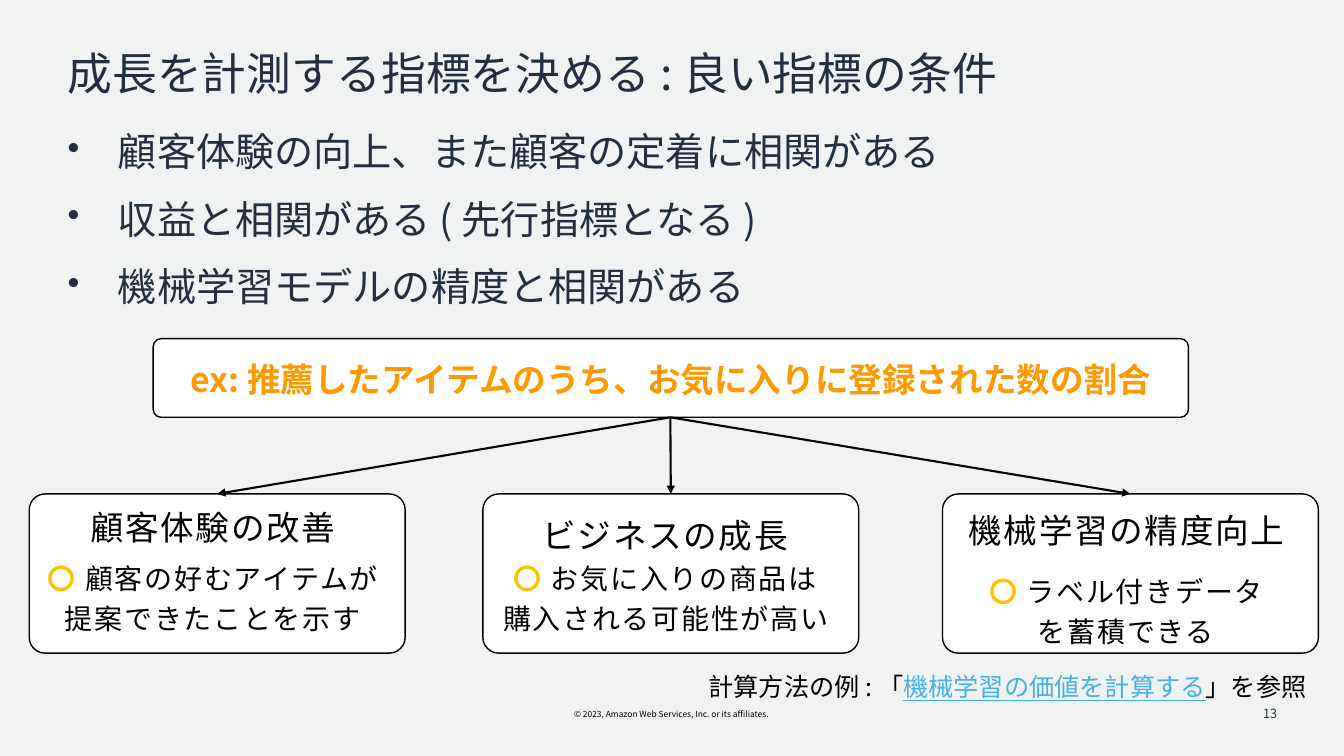
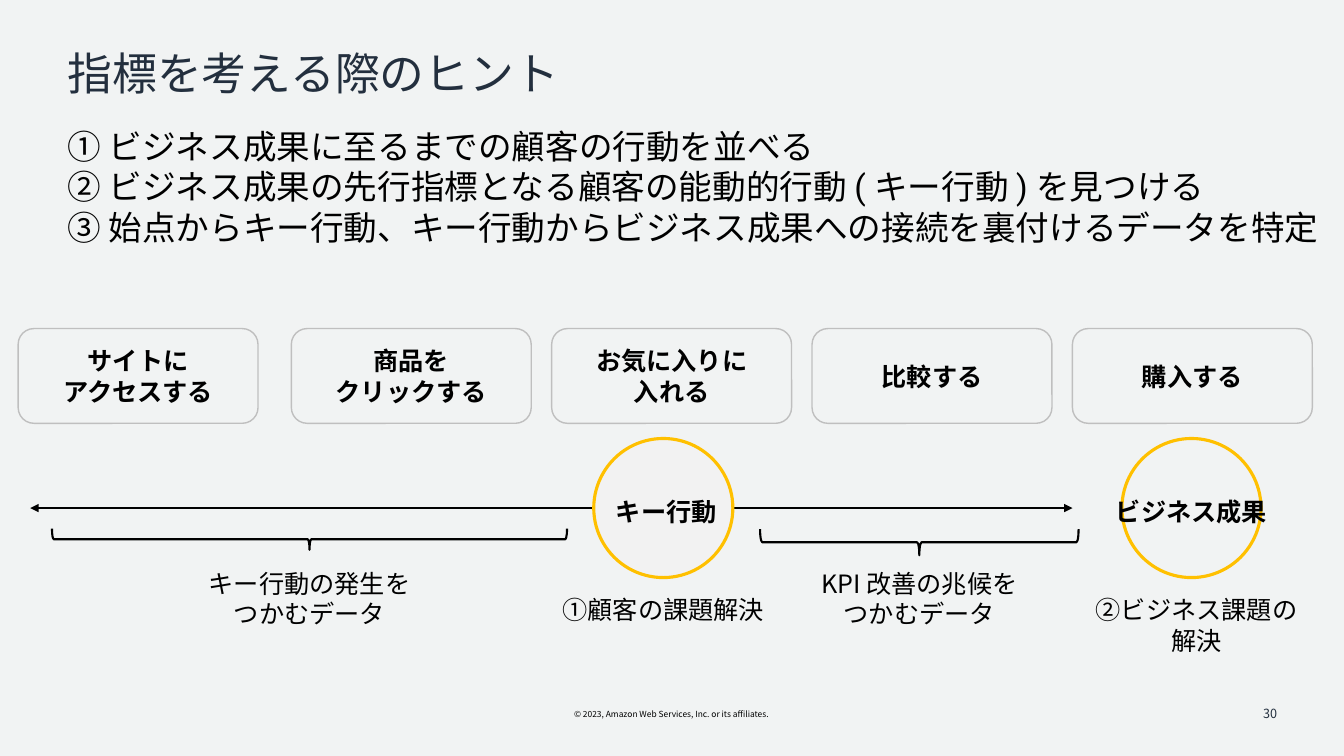
"""Build two slides on choosing and finding growth metrics."""
from lxml import etree
from pptx import Presentation
from pptx import util as u
from pptx.dml.color import RGBColor
from pptx.enum import shapes, text
from pptx.oxml import ns

CELL = u.Inches(0.1)
WIDE, HIGH = 133.33, 75
EDGE = 6.7
FONT = "Noto Sans CJK JP"
ALT = "Roboto"

PAPER = RGBColor(0xF1, 0xF3, 0xF3)
NAVY = RGBColor(0x23, 0x2F, 0x3E)
BLACK = RGBColor(0, 0, 0)
WHITE = RGBColor(0xFF, 0xFF, 0xFF)
PALE = RGBColor(0xF2, 0xF2, 0xF2)
GREY = RGBColor(0xBF, 0xBF, 0xBF)
ORANGE = RGBColor(0xFF, 0x99, 0x00)
GOLD = RGBColor(0xFF, 0xC0, 0x00)
SKY = RGBColor(0x41, 0xB1, 0xE8)

LEFT, MID, RIGHT = (text.PP_ALIGN.LEFT, text.PP_ALIGN.CENTER,
                    text.PP_ALIGN.RIGHT)
KIND = shapes.MSO_SHAPE
RING = {"color": GOLD, "bold": True}


def grid(*cells):
    """Turn grid cells into lengths."""
    return [round(c * CELL) for c in cells]


def node(host, tag, **attrs):
    """Append a drawing element to its host."""
    return etree.SubElement(host, ns.qn("a:" + tag), attrs)


def style(font, color=None, bold=None, line=None, face=None):
    """Apply the given font traits."""
    if color is not None:
        font.color.rgb = color
    if bold is not None:
        font.bold = bold
    if line is not None:
        font.underline = line
    if face is not None:
        font.name = face


def write(slide, box, lines, size, color=BLACK, bold=False, align=MID,
          lead=None, after=None, track=None, dot=False):
    """Add a text box; a line is a string or a list of (text, traits)."""
    frame = slide.shapes.add_textbox(*grid(*box)).text_frame
    frame.word_wrap = True
    frame.margin_left = frame.margin_right = 0
    for i, line in enumerate(lines):
        para = frame.paragraphs[0] if i == 0 else frame.add_paragraph()
        for part, traits in [(line, {})] if isinstance(line, str) else line:
            run = para.add_run()
            run.text = part
            style(run.font, **traits)
        para.alignment = align
        if lead:
            para.line_spacing = lead
        if after:
            para.space_after = u.Pt(after)
        props = para._p.get_or_add_pPr()
        if dot:
            props.set("marL", str(5 * CELL))
            props.set("indent", str(-5 * CELL))
            node(props, "buSzPct", val="90000")
            node(props, "buChar", char="•")
        para.font.size = u.Pt(size)
        style(para.font, color, bold, face=FONT)
        base = props.find(ns.qn("a:defRPr"))
        node(base, "ea", typeface=FONT)
        if track:
            base.set("spc", str(track))
    return frame


def shape(slide, kind, box, line, width, fill=None, adj=None):
    """Add an outlined preset shape."""
    item = slide.shapes.add_shape(kind, *grid(*box))
    item.shadow.inherit = False
    item.line.color.rgb = line
    item.line.width = u.Pt(width)
    if fill is None:
        item.fill.background()
    else:
        item.fill.solid()
        item.fill.fore_color.rgb = fill
    if adj is not None:
        item.adjustments[0] = adj
    return item


def brace(slide, x, y, span, depth):
    """Add a brace that opens upward around a centre."""
    box = (x - depth / 2, y - span / 2, depth, span)
    shape(slide, KIND.RIGHT_BRACE, box, BLACK, 1.5).rotation = 90


def arrow(slide, start, end, both=False):
    """Add an arrow between two grid points."""
    item = slide.shapes.add_connector(
        shapes.MSO_CONNECTOR.STRAIGHT, *grid(*start, *end))
    item.line.color.rgb = BLACK
    item.line.width = u.Pt(1.5)
    props = item._element.spPr
    if both:
        node(props.ln, "headEnd", type="triangle")
    node(props.ln, "tailEnd", type="triangle")
    node(props, "effectLst")


def page(deck, title, num):
    """Add a slide with its title, footer and number."""
    slide = deck.slides.add_slide(deck.slide_layouts[6])
    write(slide, (54.9, 69.9, 23.4, 2),
          ["© 2023, Amazon Web Services, Inc. or its affiliates."], 6)
    write(slide, (EDGE, 4.6, 119.8, 6), [title], 32, NAVY,
          align=LEFT, lead=0.9)
    foot = write(slide, (97.7, 68.8, 29, 4), [str(num)], 9, NAVY, align=RIGHT)
    foot.vertical_anchor = text.MSO_ANCHOR.MIDDLE
    return slide


def rules(deck):
    """Build the slide on what makes a good metric."""
    slide = page(deck, "成長を計測する指標を決める : 良い指標の条件", 13)
    write(slide, (EDGE, 12.7, 120, 18.9),
          ["顧客体験の向上、また顧客の定着に相関がある",
           "収益と相関がある ( 先行指標となる )",
           "機械学習モデルの精度と相関がある"],
          28, NAVY, align=LEFT, lead=0.9, after=18, dot=True)
    shape(slide, KIND.ROUNDED_RECTANGLE, (15.2, 33.6, 102.7, 7.8),
          BLACK, 1, WHITE, 0.1)
    write(slide, (5.4, 35.1, 122.3, 5),
          ["ex: 推薦したアイテムのうち、お気に入りに登録された数の割合"],
          24, ORANGE, True)
    top, wide = 49, 37.3
    cards = [
        (2.9, "顧客体験の改善", (7.4, 49, 27.4), (3.7, 54.5, 34.8),
         [[("〇", RING), (" 顧客の好むアイテムが", {})],
          "提案できたことを示す"]),
        (47.9, "ビジネスの成長", (51.5, 49.8, 29), (49.5, 54.5, 33.1),
         [[("〇 ", RING),
           ("お気に入りの商品は購入される可能性が高い", {})]]),
        (93.5, "機械学習の精度向上", (94.8, 49.3, 33.9), (91.8, 55.8, 39.8),
         [[("〇 ", RING), ("ラベル付きデータ", {})], "を蓄積できる"]),
    ]
    for x, head, name, note, lines in cards:
        shape(slide, KIND.ROUNDED_RECTANGLE, (x, top, wide, 15.8),
              BLACK, 1, WHITE, 0.1)
        write(slide, (*name, 5.3), [head], 24, lead=1.2, track=120)
        write(slide, (*note, 8.5), lines, 20, lead=1.2, track=120)
        arrow(slide, (66.5, 41.4), (x + wide / 2, top))
    write(slide, (64.2, 66.1, 65.4, 4),
          [[("計算方法の例 : 「", {}),
            ("機械学習の価値を計算する", {"color": SKY, "line": True}),
            ("」を参照", {})]], 18, align=RIGHT)


def hints(deck):
    """Build the slide on the path from action to outcome."""
    slide = page(deck, "指標を考える際のヒント", 30)
    write(slide, (EDGE, 12, 124.9, 13.1),
          ["① ビジネス成果に至るまでの顧客の行動を並べる",
           [("② ビジネス成果の先行指標となる顧客の能動的行動 ", {}),
            ("( ", {"face": ALT}), ("キー行動", {}),
            (" ) ", {"face": ALT}), ("を見つける", {})],
           "③ 始点からキー行動、キー行動からビジネス成果への接続を"
           "裏付けるデータを特定"], 24, align=LEFT)
    steps = [["サイトに", "アクセスする"], ["商品を", "クリックする"],
             ["お気に入りに", "入れる"], ["比較する"], ["購入する"]]
    for i, lines in enumerate(steps):
        x = 28.9 + 25.83 * (i - 1) if i else 1.8
        high = 1 + 3.05 * len(lines)
        shape(slide, KIND.ROUNDED_RECTANGLE, (x, 32.6, 23.8, 9.4), GREY, 1)
        write(slide, (x, 37.35 - high / 2, 23.8, high), lines, 18, bold=True)
    arrow(slide, (3, 50.4), (106.4, 50.4), both=True)
    goals = [(58.9, PALE, 54.4, "キー行動", 54.1, ["①顧客の課題解決"]),
             (111.3, None, 106.5, "ビジネス成果", 107,
              ["②ビジネス課題の", "解決"])]
    for x, fill, left, name, low, lines in goals:
        shape(slide, KIND.OVAL, (x, 43.5, 13.8, 13.8), GOLD, 2.25, fill)
        write(slide, (left, 48.7, 23.4, 4), [name], 18, bold=True)
        write(slide, (low, 58.5, 23.4, 7.1), lines, 18)
    spans = [(30.7, 53.5, 51.1, 2.1, "キー行動の発生を"),
             (91.2, 53.8, 31.6, 2.6, "KPI 改善の兆候を")]
    for x, y, span, depth, head in spans:
        brace(slide, x, y, span, depth)
        write(slide, (x - 11.7, 55.9, 23.4, 7.1),
              [head, "つかむデータ"], 18)


def main():
    """Build and save the deck."""
    deck = Presentation()
    deck.slide_width, deck.slide_height = grid(WIDE, HIGH)
    back = deck.slide_master.background.fill
    back.solid()
    back.fore_color.rgb = PAPER
    rules(deck)
    hints(deck)
    deck.save("out.pptx")


if __name__ == "__main__":
    main()
